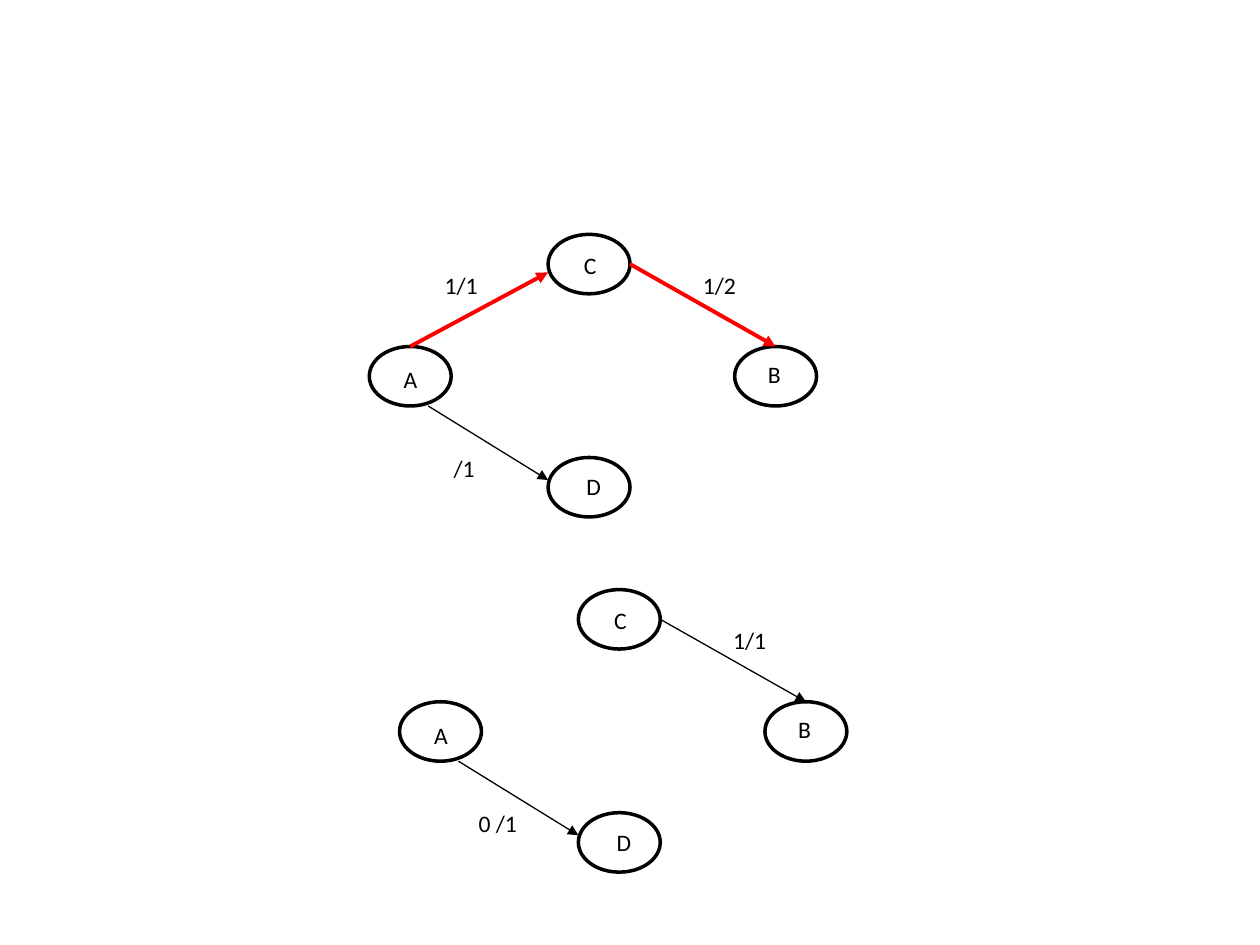
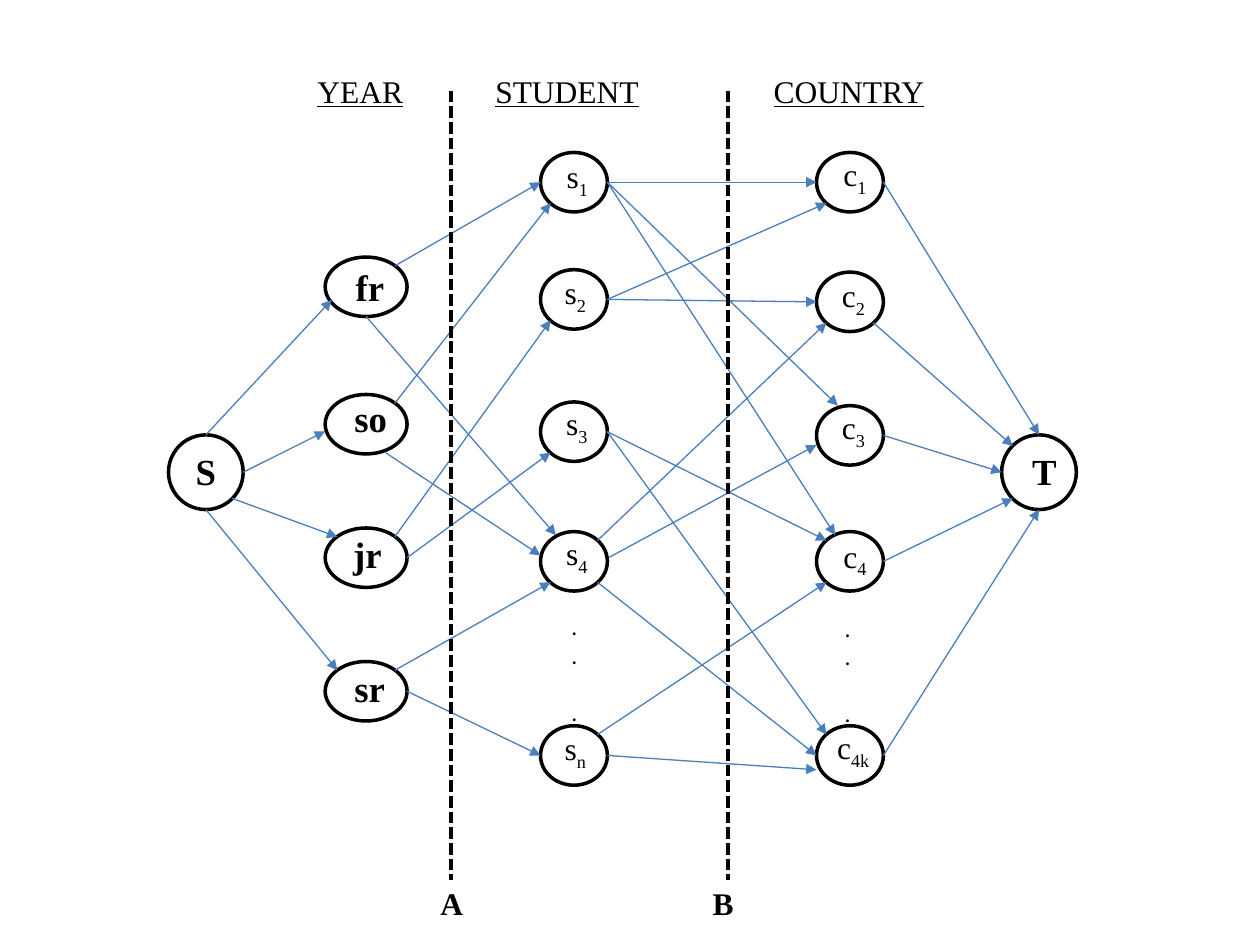
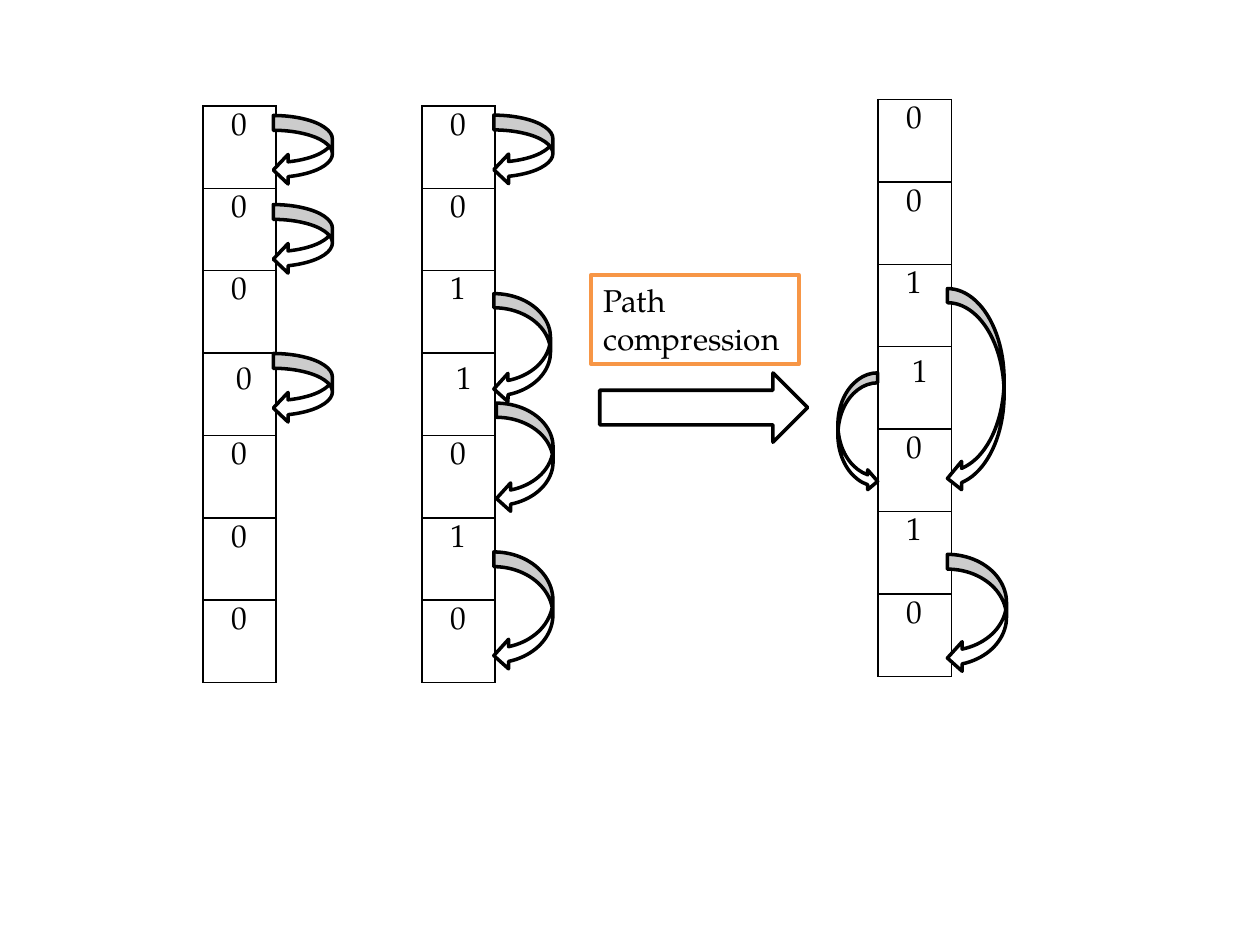
from lxml.etree import SubElement
from pptx import Presentation
from pptx.dml.color import RGBColor
from pptx.enum.dml import MSO_LINE
from pptx.enum.shapes import MSO_CONNECTOR, MSO_SHAPE as PRESET
from pptx.enum.text import MSO_ANCHOR, PP_ALIGN
from pptx.oxml.ns import qn
from pptx.util import Pt

COLORS = {"ink": "000000", "paper": "FFFFFF", "chosen": "FF0000",
          "flow": "4B7EBC", "accent": "F79646"}
SANS, SERIF, BOOK = "Calibri", "Times New Roman", "TeX Gyre Pagella"
INSET = 7.2
OVAL_WIDTH, OVAL_HEIGHT = 46.8, 34
SITES = {"top": (0.5, 0), "bottom": (0.5, 1), "left": (0, 0.5), "right": (1, 0.5),
         "tl": (0.15, 0.15), "tr": (0.85, 0.15), "bl": (0.15, 0.85), "br": (0.85, 0.85)}


def color(name):
    return RGBColor.from_string(COLORS[name])


def style_run(run, font, size, bold=False, underline=False):
    run.font.name = font
    run.font.size = Pt(size)
    run.font.bold = bold
    run.font.underline = underline
    run.font.color.rgb = color("ink")


def label(slide, text, box, font, size, lead=0, subscript="", **looks):
    frame = slide.shapes.add_textbox(*map(Pt, box)).text_frame
    frame.word_wrap = True
    frame.margin_left = Pt(INSET + lead)
    frame.margin_right = Pt(0)
    frame.text = text
    if subscript:
        lowered = frame.paragraphs[0].add_run()
        lowered.text = subscript
        lowered.font._element.set("baseline", "-25000")
    for paragraph in frame.paragraphs:
        for run in paragraph.runs:
            style_run(run, font, size, **looks)
    return frame


def outline(slide, preset, box, fill="paper", line="ink"):
    shape = slide.shapes.add_shape(preset, *map(Pt, box))
    shape.shadow.inherit = False
    if fill:
        shape.fill.solid()
        shape.fill.fore_color.rgb = color(fill)
    else:
        shape.fill.background()
    shape.line.color.rgb = color(line)
    shape.line.width = Pt(2)
    return shape


def stroke(slide, start, end, line, width, arrow=True, dash=None):
    connector = slide.shapes.add_connector(MSO_CONNECTOR.STRAIGHT, *map(Pt, start + end))
    connector.line.color.rgb = color(line)
    connector.line.width = Pt(width)
    if dash:
        connector.line.dash_style = dash
    properties = connector._element.spPr
    if arrow:
        SubElement(properties.find(qn("a:ln")), qn("a:tailEnd"), type="triangle")
    SubElement(properties, qn("a:effectLst"))


def site_point(box, site):
    left, top, width, height = box
    across, down = SITES.get(site, site)
    return left + across * width, top + down * height


def edge(slide, nodes, source, source_site, target, target_site, line, width):
    stroke(slide, site_point(nodes[source], source_site),
           site_point(nodes[target], target_site), line, width)


def small_network(slide, shift, edges, weights):
    dx, dy = shift
    places = {"C": (313.2, 133.9, 320.4, 139.7, 34.6), "D": (313.2, 261.4, 321.8, 266.4, 34.6),
              "A": (211, 198, 217.4, 205.2, 34.6), "B": (419.8, 198, 425.5, 202, 70.6)}
    sites = {"AC": ("top", (0, 0.64)), "CB": ("right", "top"), "AD": ((0.72, 1), (0, 0.38))}
    weight_places = {"AC": (234.7, 151.2), "CB": (382.3, 151.2), "AD": (239.8, 255.6)}
    nodes = {}
    for name, (left, top, text_left, text_top, text_width) in places.items():
        nodes[name] = (left + dx, top + dy, OVAL_WIDTH, OVAL_HEIGHT)
        outline(slide, PRESET.OVAL, nodes[name], fill=None)
        label(slide, name, (text_left + dx, text_top + dy, text_width, 23.8), SANS, 13.5, lead=6.1)
    for pair, (line, width) in edges.items():
        start_site, end_site = sites[pair]
        edge(slide, nodes, pair[0], start_site, pair[1], end_site, line, width)
    for pair, (text, text_width, lead) in weights.items():
        left, top = weight_places[pair]
        label(slide, text, (left + dx, top + dy, text_width, 23.8), SANS, 13.5, lead=lead)


def residual_slide(slide):
    thick, thin = ("chosen", 2.25), ("ink", 0.75)
    small_network(slide, (0, 0), {"AC": thick, "CB": thick, "AD": thin},
                  {"AC": ("1/1", 55.4, 12.2), "CB": ("1/2", 55.4, 12.2), "AD": ("/1", 39.6, 12.2)})
    small_network(slide, (17.3, 203), {"CB": thin, "AD": thin},
                  {"CB": ("1/1", 55.4, 12.2), "AD": ("0 /1", 63.4, 9.2)})


def dots(slide, box):
    frame = label(slide, ".\n.\n.", box, SANS, 13.5, lead=6.1)
    frame.paragraphs[2].space_before = Pt(16.5)


def matching_slide(slide):
    years = [("fr", 146.9, 190.8, 147.6), ("so", 225.4, 190.1, 222.5),
             ("jr", 301.7, 189.4, 300.2), ("sr", 378, 190.1, 376.6)]
    students = [("s1", 87.1, 312.1, 86.4, 47.9), ("s2", 154.1, 311, 152.6, 43.2),
                ("s3", 229.7, 311.8, 227.5, 45.4), ("s4", 303.8, 311.8, 301.7, 40.3),
                ("sn", 414.7, 311, 413.3, 37.4)]
    countries = [("c1", 87.1, 470.2, 85, 34.6), ("c2", 155.5, 469.4, 154.1, 35.3),
                 ("c3", 231.8, 469.4, 229.7, 37.4), ("c4", 303.8, 470.2, 303.1, 36.7),
                 ("c4k", 414.7, 466.6, 412.6, 46.8)]
    ends = [("S", 96.3, 99.4, 36), ("T", 572.4, 577.4, 54.7)]
    nodes = {}
    for name, top, text_left, text_top in years:
        nodes[name] = (185.8, top, OVAL_WIDTH, OVAL_HEIGHT)
        outline(slide, PRESET.OVAL, nodes[name], fill=None)
        label(slide, name, (text_left, text_top, 41.8, 32.4), SERIF, 21, lead=5.25, bold=True)
    for left, column in ((308.9, students), (466.6, countries)):
        for name, top, text_left, text_top, text_width in column:
            nodes[name] = (left, top, 38.2, OVAL_HEIGHT)
            outline(slide, PRESET.OVAL, nodes[name], fill=None)
            label(slide, name[0], (text_left, text_top, text_width, 28.8), SERIF, 18,
                  lead=4.5, subscript=name[1:])
    for name, left, text_left, text_width in ends:
        nodes[name] = (left, 248.5, 42.7, 42.7)
        outline(slide, PRESET.OVAL, nodes[name])
        label(slide, name, (text_left, 252.7, text_width, 32.4), SERIF, 21, lead=5.25, bold=True)

    flows = [
        ("S", "top", "fr", (0.08, 0.72)), ("S", "right", "so", (0, 0.62)),
        ("S", "br", "jr", "tl"), ("S", "bottom", "sr", "tl"),
        ("fr", "tr", "s1", "left"), ("fr", "bottom", "s4", (0.23, 0.06)),
        ("so", "tr", "s1", "bl"), ("so", (0.74, 0.98), "s4", (0, 0.4)),
        ("jr", "tr", "s2", "bl"), ("jr", "right", "s3", "bl"),
        ("sr", "right", "sn", "left"), ("sr", "tr", "s4", "bl"),
        ("c1", "right", "T", "top"), ("c2", "br", "T", "tl"), ("c3", "right", "T", "left"),
        ("c4", "right", "T", "bl"), ("c4k", "right", "T", "bottom"),
        ("s1", "right", "c1", "left"), ("s1", "right", "c3", (0.32, 0)),
        ("s1", "right", "c4", (0.28, 0.06)),
        ("s2", "right", "c2", "left"), ("s2", "right", "c1", "bl"),
        ("s3", "right", "c4", "tl"), ("s3", "right", "c4k", "tl"),
        ("s4", (1.03, 0.43), "c3", (0, 0.66)), ("s4", "br", "c4k", "left"),
        ("s4", "tr", "c2", "bl"),
        ("sn", "right", "c4k", (0, 0.74)), ("sn", "tr", "c4", "bl")]
    for flow in flows:
        edge(slide, nodes, *flow, "flow", 0.75)

    dots(slide, (313.2, 346.3, 32.4, 56.2))
    dots(slide, (469.4, 347, 32.4, 56.2))
    for heading, left, width in (("YEAR", 156.2, 102.2), ("STUDENT", 257.8, 128.9),
                                 ("COUNTRY", 416.9, 130.3)):
        label(slide, heading, (left, 37.4, width, 28.8), SERIF, 18, lead=18, underline=True)
    for cut, x, text_left in (("A", 257.8, 235.4), ("B", 416.2, 391)):
        stroke(slide, (x, 51.8), (x, 502.6), "ink", 2.25, arrow=False, dash=MSO_LINE.SQUARE_DOT)
        label(slide, cut, (text_left, 501.5, 54, 28.8), SERIF, 18, lead=9, bold=True)


def border_cell(cell):
    properties = cell._tc.get_or_add_tcPr()
    for place, side in enumerate(("lnL", "lnR", "lnT", "lnB")):
        border = SubElement(properties, qn("a:" + side), w=str(Pt(1)))
        paint = SubElement(border, qn("a:solidFill"))
        SubElement(paint, qn("a:srgbClr"), val=COLORS["ink"])
        properties.insert(place, border)


def array_column(slide, left, top, digits):
    width, row_height = 41.8, 47.1
    frame = slide.shapes.add_table(len(digits), 1, Pt(left), Pt(top), Pt(width),
                                   Pt(row_height * len(digits)))
    array = frame.table
    array.first_row = array.horz_banding = False
    array.columns[0].width = Pt(width)
    for index, digit in enumerate(digits):
        array.rows[index].height = Pt(row_height)
        cell = array.cell(index, 0)
        middle = index == len(digits) // 2
        cell.margin_left = Pt(INSET + (12.2 if middle else 9))
        cell.margin_top = Pt(7.6 if middle else 3.6)
        cell.text = digit
        style_run(cell.text_frame.paragraphs[0].runs[0], BOOK, 18)
        cell.fill.background()
        border_cell(cell)


def compression_slide(slide):
    array_column(slide, 115.9, 60.5, "0000000")
    array_column(slide, 241.2, 60.5, "0011010")
    array_column(slide, 501.8, 56.9, "0011010")
    left_arrows = [(282.2, 167.8, 32.4, 62.6), (282.2, 315.4, 33.8, 67.7),
                   (156.2, 66, 33.8, 39.6), (156.2, 116.9, 33.8, 39.6),
                   (156.2, 202, 33.8, 39.6), (282.2, 65.8, 33.8, 39.6),
                   (283.7, 230.4, 32.4, 62.6), (541.4, 164.9, 32.4, 116.6),
                   (541.4, 316.8, 33.8, 67.7)]
    for box in left_arrows:
        outline(slide, PRESET.CURVED_LEFT_ARROW, box)
    outline(slide, PRESET.CURVED_RIGHT_ARROW, (478.8, 213.1, 22.7, 67.7))
    outline(slide, PRESET.RIGHT_ARROW, (342.7, 213.1, 118.8, 39.6))
    step = outline(slide, PRESET.RECTANGLE, (337.7, 157, 118.8, 51.1), line="accent")
    frame = step.text_frame
    frame.word_wrap = True
    frame.vertical_anchor = MSO_ANCHOR.TOP
    frame.text = "Path compression"
    frame.paragraphs[0].alignment = PP_ALIGN.LEFT
    style_run(frame.paragraphs[0].runs[0], BOOK, 18)


def main():
    deck = Presentation()
    deck.slide_width, deck.slide_height = Pt(720), Pt(540)
    for build in (residual_slide, matching_slide, compression_slide):
        build(deck.slides.add_slide(deck.slide_layouts[6]))
    deck.save("out.pptx")


main()
